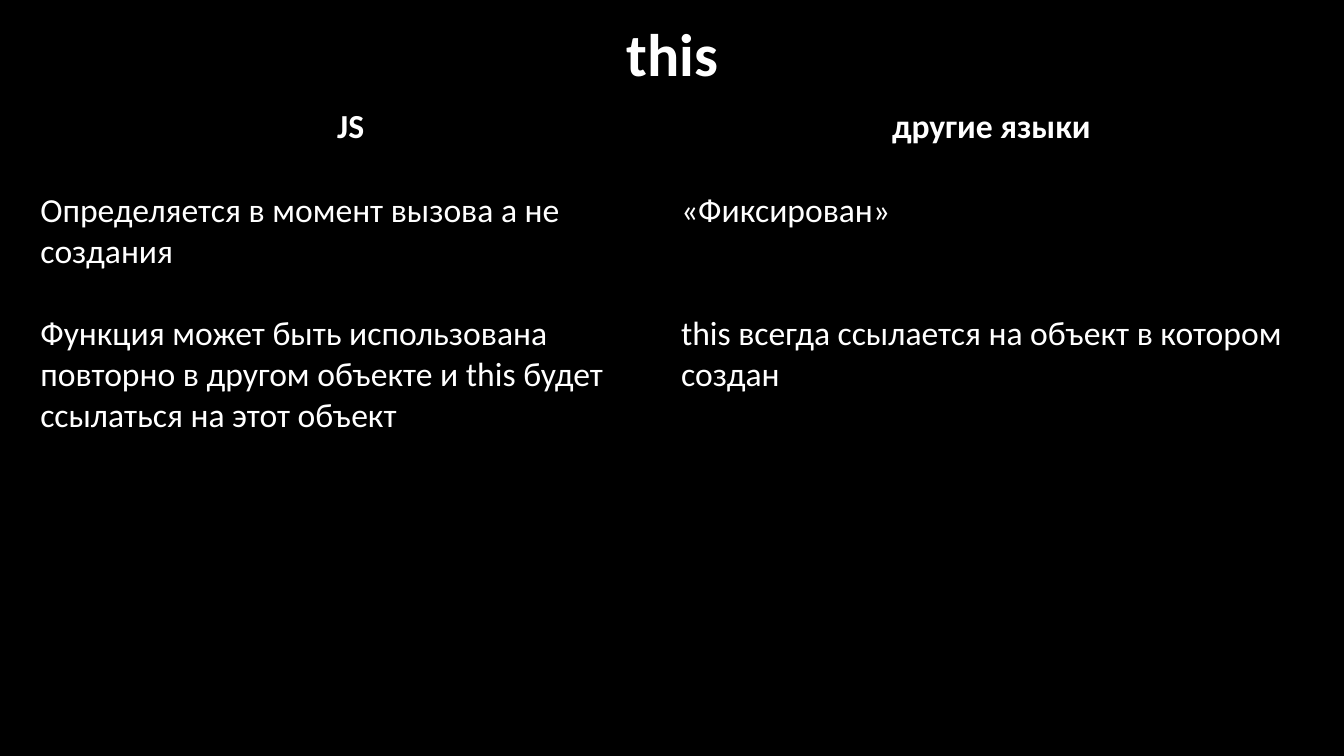
from dataclasses import dataclass

from pptx import Presentation
from pptx.dml.color import RGBColor
from pptx.enum.text import MSO_ANCHOR, PP_ALIGN
from pptx.oxml.ns import qn
from pptx.util import Inches, Pt


@dataclass(frozen=True)
class Theme:
    """Colours, font and type sizes of the slide."""
    background: RGBColor = RGBColor(0, 0, 0)
    ink: RGBColor = RGBColor(255, 255, 255)
    font: str = "Calibri"
    title_size: float = 42.9
    table_size: float = 24
    line_height: float = 29.3
    plain_table: str = "{2D5ABB26-0587-4C30-8999-92F81FD0307C}"


THEME = Theme()
HEADINGS = ["JS", "другие языки"]
POINTS = [
    ["Определяется в момент вызова а не создания",
     "Функция может быть использована повторно в другом объекте "
     "и this будет ссылаться на этот объект"],
    ["«Фиксирован»", "this всегда ссылается на объект в котором создан"],
]
GAP_LINES = [1, 2]


def add_span(para, text, size, bold=False):
    """Add one styled run to a paragraph."""
    span = para.add_run()
    span.text = text
    span.font.name = THEME.font
    span.font.size = Pt(size)
    span.font.bold = bold
    span.font.color.rgb = THEME.ink


def add_title(page, box, text):
    """Place the centred title in its box."""
    frame = page.shapes.add_textbox(*map(Inches, box)).text_frame
    frame.word_wrap = True
    frame.vertical_anchor = MSO_ANCHOR.MIDDLE
    para = frame.paragraphs[0]
    para.alignment = PP_ALIGN.CENTER
    para.line_spacing = 0.9
    add_span(para, text, THEME.title_size, bold=True)


def fill_heading(cell, text):
    """Write a bold centred column heading."""
    para = cell.text_frame.paragraphs[0]
    para.alignment = PP_ALIGN.CENTER
    add_span(para, text, THEME.table_size, bold=True)


def fill_points(cell, points, gap_lines):
    """Write the points of a column, spaced by whole lines."""
    frame = cell.text_frame
    for index, point in enumerate(points):
        para = frame.add_paragraph() if index else frame.paragraphs[0]
        if index:
            para.space_before = Pt(gap_lines * THEME.line_height)
        add_span(para, point, THEME.table_size)


def add_comparison(page, box, heading_height):
    """Place the two-column comparison table in its box."""
    left, top, width, height = map(Inches, box)
    table = page.shapes.add_table(2, len(HEADINGS), left, top, width, height).table
    table.first_row = False
    table.horz_banding = False
    table._tbl.tblPr.find(qn("a:tableStyleId")).text = THEME.plain_table
    table.rows[0].height = Inches(heading_height)
    table.rows[1].height = height - Inches(heading_height)
    for cell in table.iter_cells():
        cell.fill.solid()
        cell.fill.fore_color.rgb = THEME.background
    for column, heading in enumerate(HEADINGS):
        fill_heading(table.cell(0, column), heading)
        fill_points(table.cell(1, column), POINTS[column], GAP_LINES[column])


def main():
    """Build and save the deck."""
    deck = Presentation()
    deck.slide_width, deck.slide_height = Inches(13.33), Inches(7.5)
    page = deck.slides.add_slide(deck.slide_layouts[6])
    page.background.fill.solid()
    page.background.fill.fore_color.rgb = THEME.background
    add_title(page, (1.67, 0.08, 10, 0.97), "this")
    add_comparison(page, (0.3, 1.01, 12.71, 5.94), 0.83)
    deck.save("out.pptx")


if __name__ == "__main__":
    main()
